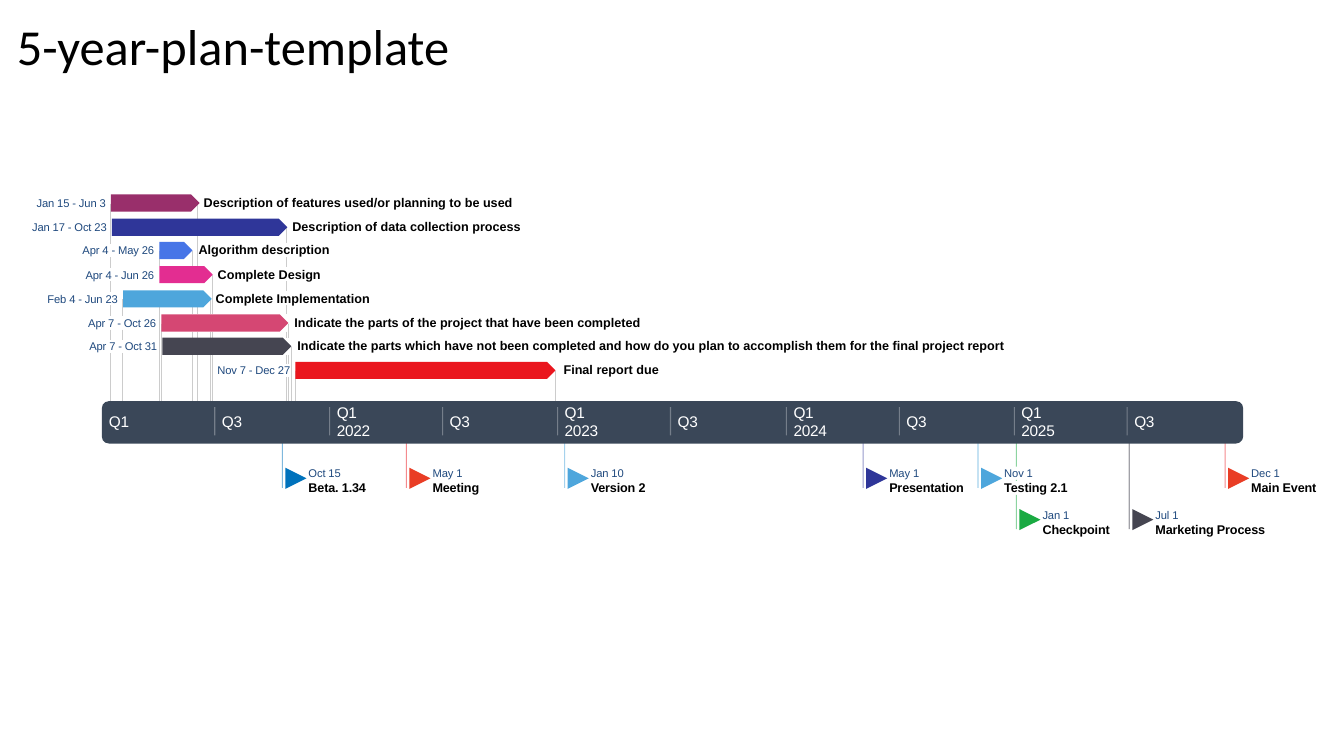
"""Build a five-year plan timeline with task bars, a quarter band and milestones."""
from dataclasses import dataclass

from lxml.etree import SubElement
from pptx import Presentation
from pptx.dml.color import RGBColor
from pptx.enum.shapes import MSO_CONNECTOR, MSO_SHAPE as Shape
from pptx.enum.text import MSO_ANCHOR as Anchor, PP_ALIGN as Align
from pptx.oxml.ns import qn
from pptx.util import Emu, Pt

PX = 9144


@dataclass(frozen=True)
class Style:
    size: int
    color: str
    bold: bool = False
    font: str = "Arial"
    spacing: int = 0


@dataclass(frozen=True)
class Theme:
    title: Style = Style(36, "000000", font="Calibri")
    quarter: Style = Style(11, "FFFFFF", spacing=-20)
    date: Style = Style(8, "1F497E", spacing=-10)
    task: Style = Style(9, "000000", True)
    event: Style = Style(9, "000000", True, spacing=-10)
    band: str = "3A4758"
    drop: str = "CCCCCC"
    tick: str = "FFFFFF"
    line_width: float = 0.75


@dataclass(frozen=True)
class Box:
    left: int
    top: int
    width: int
    height: int

    @property
    def right(self) -> int:
        return self.left + self.width

    @property
    def bottom(self) -> int:
        return self.top + self.height


@dataclass(frozen=True)
class Task:
    name: str
    dates: str
    color: str
    left: int
    width: int
    drops: tuple[int, ...]
    date_width: int
    name_left: int
    name_width: int
    clearance: int = 17


@dataclass(frozen=True)
class Milestone:
    name: str
    date: str
    color: str
    stem_color: str
    x: int
    row: int
    name_width: int
    date_width: int


THEME = Theme()
BAND = Box(101, 398, 1132, 42)
STEM_TOP = 439
BAR_HEIGHT = 17

TASKS = (
    Task("Description of features used/or planning to be used", "Jan 15 - Jun 3",
         "992F6B", 110, 88, (110, 196), 71, 202, 311),
    Task("Description of data collection process", "Jan 17 - Oct 23",
         "2F3699", 111, 174, (284,), 76, 290, 231),
    Task("Algorithm description", "Apr 4 - May 26",
         "4775E7", 158, 33, (158, 191), 74, 197, 131),
    Task("Complete Design", "Apr 4 - Jun 26",
         "E32D91", 158, 53, (211,), 71, 216, 103, clearance=24),
    Task("Complete Implementation", "Feb 4 - Jun 23",
         "4EA6DC", 122, 88, (122, 209), 72, 214, 154),
    Task("Indicate the parts of the project that have been completed", "Apr 7 - Oct 26",
         "D54773", 160, 126, (160, 286), 69, 292, 347),
    Task("Indicate the parts which have not been completed and how do you plan "
         "to accomplish them for the final project report", "Apr 7 - Oct 31",
         "454551", 161, 128, (289,), 69, 295, 706),
    Task("Final report due", "Nov 7 - Dec 27",
         "EA161E", 293, 258, (293, 551), 75, 559, 100),
)

MILESTONES = (
    Milestone("Beta. 1.34", "Oct 15", "0072BC", "0072BC", 280, 0, 60, 33),
    Milestone("Meeting", "May 1", "E93D25", "EA161E", 403, 0, 47, 31),
    Milestone("Version 2", "Jan 10", "4EA6DC", "4EA6DC", 560, 0, 57, 35),
    Milestone("Presentation", "May 1", "2F3699", "2F3699", 856, 0, 76, 31),
    Milestone("Testing 2.1", "Nov 1", "4EA6DC", "4EA6DC", 970, 0, 65, 29),
    Milestone("Checkpoint", "Jan 1", "1AAA42", "1AAA42", 1008, 1, 69, 28),
    Milestone("Marketing Process", "Jul 1", "454551", "454551", 1120, 1, 112, 24),
    Milestone("Main Event", "Dec 1", "E93D25", "EA161E", 1215, 0, 67, 29),
)


def emu(box: Box) -> tuple[Emu, ...]:
    return tuple(Emu(v * PX) for v in (box.left, box.top, box.width, box.height))


def add_line(slide, x: int, top: int, bottom: int, color: str, alpha: int = 100) -> None:
    ln = slide.shapes.add_connector(
        MSO_CONNECTOR.STRAIGHT, Emu(x * PX), Emu(top * PX), Emu(x * PX), Emu(bottom * PX))
    ln.line.color.rgb = RGBColor.from_string(color)
    ln.line.width = Pt(THEME.line_width)
    sp_pr = ln._element.spPr
    if alpha < 100:
        clr = next(sp_pr.iter(qn("a:srgbClr")))
        SubElement(clr, qn("a:alpha")).set("val", str(alpha * 1000))
    SubElement(sp_pr, qn("a:effectLst"))


def add_broken_line(slide, x: int, top: int, bottom: int, obstacles: list[Box],
                    color: str, alpha: int = 100) -> None:
    for box in sorted(obstacles, key=lambda b: b.top):
        if box.left <= x <= box.right and top <= box.top < bottom:
            if box.top > top:
                add_line(slide, x, top, box.top, color, alpha)
            top = box.bottom
    add_line(slide, x, top, bottom, color, alpha)


def add_block(slide, kind: Shape, box: Box, color: str, rotation: int = 0) -> None:
    sp = slide.shapes.add_shape(kind, *emu(box))
    sp.shadow.inherit = False
    sp.fill.solid()
    sp.fill.fore_color.rgb = RGBColor.from_string(color)
    sp.line.fill.background()
    sp.rotation = rotation


def add_text(slide, box: Box, text: str, style: Style, align: Align = Align.LEFT,
             label: bool = True, wrap: bool = False) -> None:
    tf = slide.shapes.add_textbox(*emu(box)).text_frame
    tf.word_wrap = wrap
    if label:
        tf.vertical_anchor = Anchor.MIDDLE
        tf.margin_left = tf.margin_top = tf.margin_right = tf.margin_bottom = 0
    p = tf.paragraphs[0]
    p.text = text
    p.alignment = align
    for r in p.runs:
        r.font.size = Pt(style.size)
        r.font.name = style.font
        r.font.bold = style.bold
        r.font.color.rgb = RGBColor.from_string(style.color)
        if style.spacing:
            r._r.get_or_add_rPr().set("spc", str(style.spacing))


def bar_box(row: int) -> Box:
    return Box(TASKS[row].left, round(193.1 + 23.68 * row), TASKS[row].width, BAR_HEIGHT)


def task_labels(row: int) -> tuple[Box, Box]:
    task, bar = TASKS[row], bar_box(row)
    return (Box(bar.left - 5 - task.date_width, bar.top + 2, task.date_width, 13),
            Box(task.name_left, bar.top + 1, task.name_width, 14))


def milestone_labels(m: Milestone) -> tuple[Box, Box]:
    top = 463 + 41 * m.row
    return Box(m.x + 26, top, m.date_width, 13), Box(m.x + 26, top + 14, m.name_width, 14)


def draw_lines(slide) -> None:
    for row, task in enumerate(TASKS):
        obstacles = []
        for below in range(row + 1, len(TASKS)):
            bar = bar_box(below)
            cleared = Box(bar.left, bar.top, bar.width, TASKS[below].clearance)
            obstacles += [cleared, *task_labels(below)]
        for x in task.drops:
            add_broken_line(slide, x, bar_box(row).top + 9, BAND.top, obstacles, THEME.drop)
    labels = [box for m in MILESTONES for box in milestone_labels(m)]
    for m in MILESTONES:
        add_broken_line(slide, m.x, STEM_TOP, 484 + 41 * m.row, labels, m.stem_color, 50)


def draw_band(slide) -> None:
    add_block(slide, Shape.ROUNDED_RECTANGLE, BAND, THEME.band)
    for half in range(10):
        year, second = divmod(half, 2)
        left = round(108 + 226.2 * year + 112 * second)
        text = "Q3" if second else f"Q1\n{2021 + year}" if year else "Q1"
        add_text(slide, Box(left, 401, 42, 34), text, THEME.quarter, wrap=True)
        if half:
            add_line(slide, left - 7, 404, 432, THEME.tick, 30)


def draw_tasks(slide) -> None:
    for row, task in enumerate(TASKS):
        date_box, name_box = task_labels(row)
        add_block(slide, Shape.PENTAGON, bar_box(row), task.color)
        add_text(slide, date_box, task.dates, THEME.date, Align.RIGHT)
        add_text(slide, name_box, task.name, THEME.task)


def draw_milestones(slide) -> None:
    for m in MILESTONES:
        date_box, name_box = milestone_labels(m)
        flag = Box(m.x + 3, date_box.top + 1, 21, 21)
        add_block(slide, Shape.FLOWCHART_MERGE, flag, m.color, 270)
        add_text(slide, name_box, m.name, THEME.event)
        add_text(slide, date_box, m.date, THEME.date)


def main() -> None:
    prs = Presentation()
    prs.slide_width, prs.slide_height = Emu(1333 * PX), Emu(750 * PX)
    slide = prs.slides.add_slide(prs.slide_layouts[6])
    draw_lines(slide)
    draw_band(slide)
    draw_tasks(slide)
    draw_milestones(slide)
    add_text(slide, Box(7, 10, 809, 71), "5-year-plan-template", THEME.title,
             label=False, wrap=True)
    prs.save("out.pptx")


if __name__ == "__main__":
    main()
